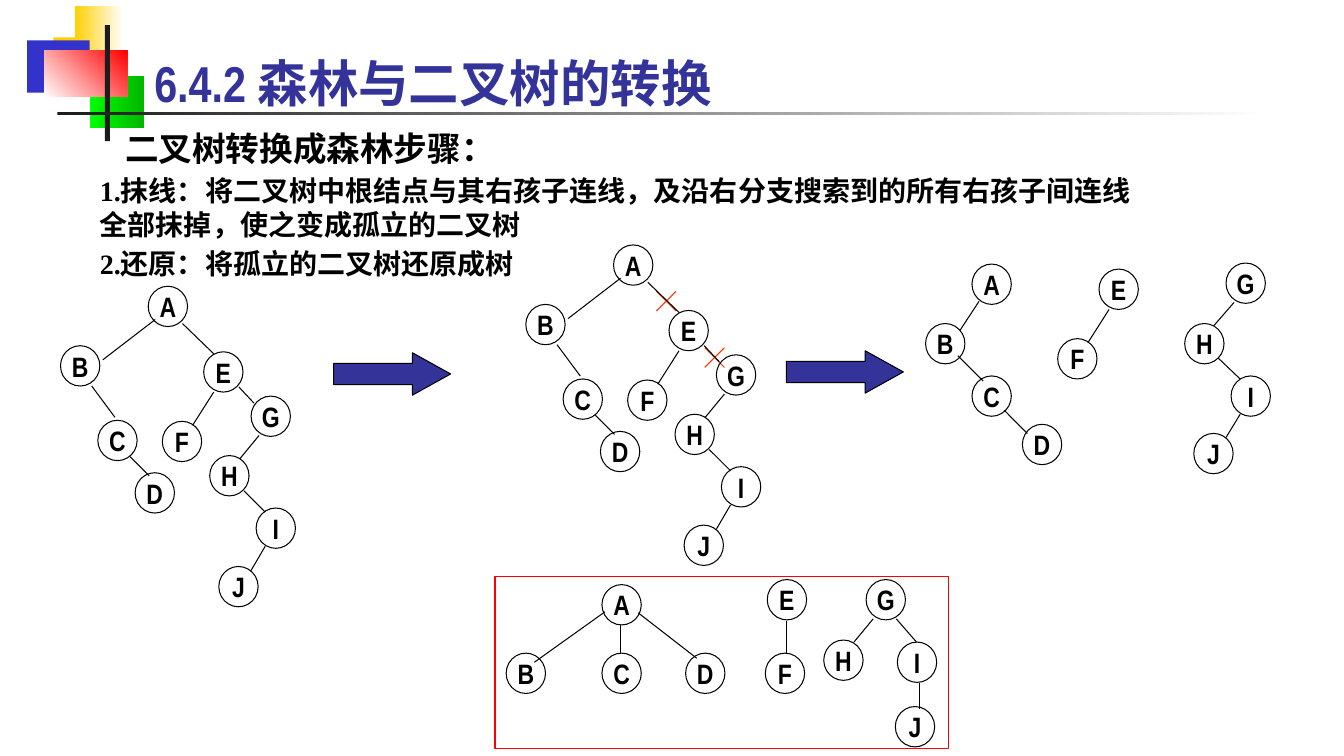
from lxml import etree
from pptx import Presentation
from pptx import util as u
from pptx.dml.color import RGBColor
from pptx.enum import shapes, text
from pptx.oxml.ns import qn

CELL = u.Inches(0.1)
NODE_SIZE = (3.9, 4)
BLACK, WHITE, RED, NAVY = "000000", "FFFFFF", "FF0000", "333399"

DECOR = [
    ((5.3, 3.7, 6.4, 5.2), ("FFCF01",), 0),
    ((7.4, 0.6, 4.8, 5.2), ("FFCF01", WHITE), 0),
    ((2.7, 4, 6.2, 5.2), ("3333CC",), 0),
    ((8.9, 7.5, 5.4, 5.2), ("00FF00", "00B600"), 0),
    ((4.4, 5, 8.2, 4.6), (WHITE, RED), 45),
    ((10.4, 2.5, 0.5, 11.5), ("1C1C1C",), 0),
    ((5.7, 11.1, 120, 0.3), ("1C1C1C", WHITE), 0),
]
STEPS = [
    ("二叉树转换成森林步骤：", 24, 1, 10),
    ("1.抹线：将二叉树中根结点与其右孩子连线，及沿右分支搜索到的所有右孩子间连线全部抹掉，使之变成孤立的二叉树",
     20, 2, 7.5),
    ("2.还原：将孤立的二叉树还原成树", 20, 2, 7.5),
]
BINARY_NODES = {
    "A": (14.7, 28.4), "B": (6, 34.3), "C": (9.7, 41.7), "D": (13.4, 46.9),
    "E": (20.2, 34.9), "F": (16.1, 41.8), "G": (24.9, 39.3),
    "H": (20.8, 45.2), "I": (25.4, 50.4), "J": (21.7, 56.2),
}
BINARY_EDGES = [
    (9.1, 38.3, 11.4, 41.4), (12.9, 45.3, 14.8, 47.2),
    (21.2, 38.9, 19.1, 42.2), (18.1, 32.1, 21.2, 35.1),
    (23.7, 38.4, 25.2, 40), (15.4, 31.7, 10.2, 35.7),
    (25.7, 43.2, 23.8, 45.5), (24.2, 48.7, 26.3, 50.8),
    (26.3, 54.2, 24.9, 56.6),
]
CUT_OFFSET = (46.15, -4.1)
CUTS = [(65.1, 28.9), (69.9, 34.5)]
SPLIT_NODES = {
    "A": (96.4, 26.2), "B": (91.8, 32.1), "C": (96.4, 37.3), "D": (101.4, 42.1),
    "E": (109, 26.7), "F": (104.9, 33.6), "G": (121.6, 26.1),
    "H": (117.5, 32.1), "I": (122.1, 37.3), "J": (118.4, 43),
}
SPLIT_EDGES = [
    (97.1, 29.9, 95.2, 32.8), (95, 35.3, 97.5, 37.8), (99.6, 40.7, 101.9, 43),
    (110, 30.7, 107.9, 34), (122.4, 30, 120.4, 32.3),
    (120.8, 35.5, 123, 37.6), (123, 41.1, 121.6, 43.4),
]
FOREST_NODES = {
    "A": (59.7, 58), "B": (50.2, 64.8), "C": (59.7, 64.8), "D": (68, 64.8),
    "E": (76.1, 57.5), "F": (75.9, 64.8), "G": (85.9, 57.5),
    "H": (81.7, 63.5), "I": (89, 63.7), "J": (88.8, 70.1),
}
FOREST_EDGES = [
    (61.5, 62, 61.5, 64.9), (60, 60.7, 53, 65.7), (63.3, 60.8, 69.1, 65.3),
    (78, 61.6, 78, 64.9), (86.6, 61.4, 84.7, 63.7),
    (88.9, 61.4, 90.9, 63.7), (91.2, 67.8, 91.2, 70.3),
]


def color(value):
    return RGBColor.from_string(value)


def grid(*values):
    return [int(v * CELL) for v in values]


def write(p, words, size, font, ink=BLACK, align=None):
    p.alignment = align
    r = p.add_run()
    r.text = words
    f = r.font
    f.size, f.name, f.bold = u.Pt(size), font, True
    f.color.rgb = color(ink)


def add_block(parent, kind, box, fills=(), line=None, angle=0):
    sp = parent.add_shape(kind, *grid(*box))
    sp.shadow.inherit = False
    if not fills:
        sp.fill.background()
    elif len(fills) == 1:
        sp.fill.solid()
        sp.fill.fore_color.rgb = color(fills[0])
    else:
        sp.fill.gradient()
        sp.fill.gradient_angle = angle
        for stop, value in zip(sp.fill.gradient_stops, fills):
            stop.color.rgb = color(value)
    if line:
        sp.line.color.rgb = color(line)
        sp.line.width = u.Pt(0.75)
    else:
        sp.line.fill.background()
    return sp


def add_edge(parent, ends, ink=BLACK):
    c = parent.add_connector(shapes.MSO_CONNECTOR.STRAIGHT, *grid(*ends))
    c.line.color.rgb = color(ink)
    c.line.width = u.Pt(0.75)
    etree.SubElement(c._element.spPr, qn("a:effectLst"))


def add_node(parent, letter, x, y):
    sp = add_block(parent, shapes.MSO_SHAPE.OVAL, (x, y, *NODE_SIZE), line=BLACK)
    tf = sp.text_frame
    tf.word_wrap = False
    tf.vertical_anchor = text.MSO_ANCHOR.MIDDLE
    write(tf.paragraphs[0], letter, 20, "Arial Narrow", align=text.PP_ALIGN.CENTER)


def add_tree(s, nodes, edges, offset=(0, 0), cuts=()):
    dx, dy = offset
    group = s.shapes.add_group_shape().shapes
    for x, y in cuts:
        add_edge(group, (x, y, x + 1.95, y + 1.95), "FF3300")
        add_edge(group, (x + 1.95, y, x, y + 1.95), "FF3300")
    for x1, y1, x2, y2 in edges:
        add_edge(group, (x1 + dx, y1 + dy, x2 + dx, y2 + dy))
    for letter, (x, y) in nodes.items():
        add_node(group, letter, x + dx, y + dy)


def place(holder, box, anchor):
    holder.left, holder.top, holder.width, holder.height = grid(*box)
    tf = holder.text_frame
    tf.word_wrap = True
    tf.auto_size = text.MSO_AUTO_SIZE.NONE
    tf.vertical_anchor = anchor
    return tf


def add_steps(holder):
    tf = place(holder, (1.4, 12.2, 112.2, 15.4), text.MSO_ANCHOR.TOP)
    for i, (words, size, level, indent) in enumerate(STEPS):
        p = tf.add_paragraph() if i else tf.paragraphs[0]
        p.level = level
        pPr = p._p.get_or_add_pPr()
        pPr.set("marL", str(grid(indent)[0]))
        pPr.set("indent", "0")
        etree.SubElement(pPr, qn("a:buNone"))
        p.space_before = u.Pt(size * 0.2 if i else 0)
        write(p, words, size, "Times New Roman", align=text.PP_ALIGN.LEFT)


def main():
    prs = Presentation()
    prs.slide_width, prs.slide_height = u.Inches(13.33), u.Inches(7.5)
    s = prs.slides.add_slide(prs.slide_layouts[1])
    for box, fills, angle in DECOR:
        add_block(s.shapes, shapes.MSO_SHAPE.RECTANGLE, box, fills, angle=angle)
    tf = place(s.shapes.title, (14.3, 4.6, 85, 7.2), text.MSO_ANCHOR.MIDDLE)
    write(tf.paragraphs[0], "6.4.2 森林与二叉树的转换", 36, "Arial Narrow",
          ink=NAVY, align=text.PP_ALIGN.LEFT)
    add_steps(s.placeholders[1])
    add_block(s.shapes, shapes.MSO_SHAPE.RECTANGLE, (49.1, 57.2, 45, 17.1), (WHITE,), RED)
    add_tree(s, BINARY_NODES, BINARY_EDGES)
    add_tree(s, BINARY_NODES, BINARY_EDGES, CUT_OFFSET, CUTS)
    add_tree(s, SPLIT_NODES, SPLIT_EDGES)
    add_tree(s, FOREST_NODES, FOREST_EDGES)
    for x, y in ((33.1, 35), (78, 34.8)):
        arrow = add_block(s.shapes, shapes.MSO_SHAPE.RIGHT_ARROW,
                          (x, y, 11.6, 4.2), (NAVY,), BLACK)
        arrow.adjustments[0], arrow.adjustments[1] = 0.5, 0.9
    prs.save("out.pptx")


if __name__ == "__main__":
    main()
